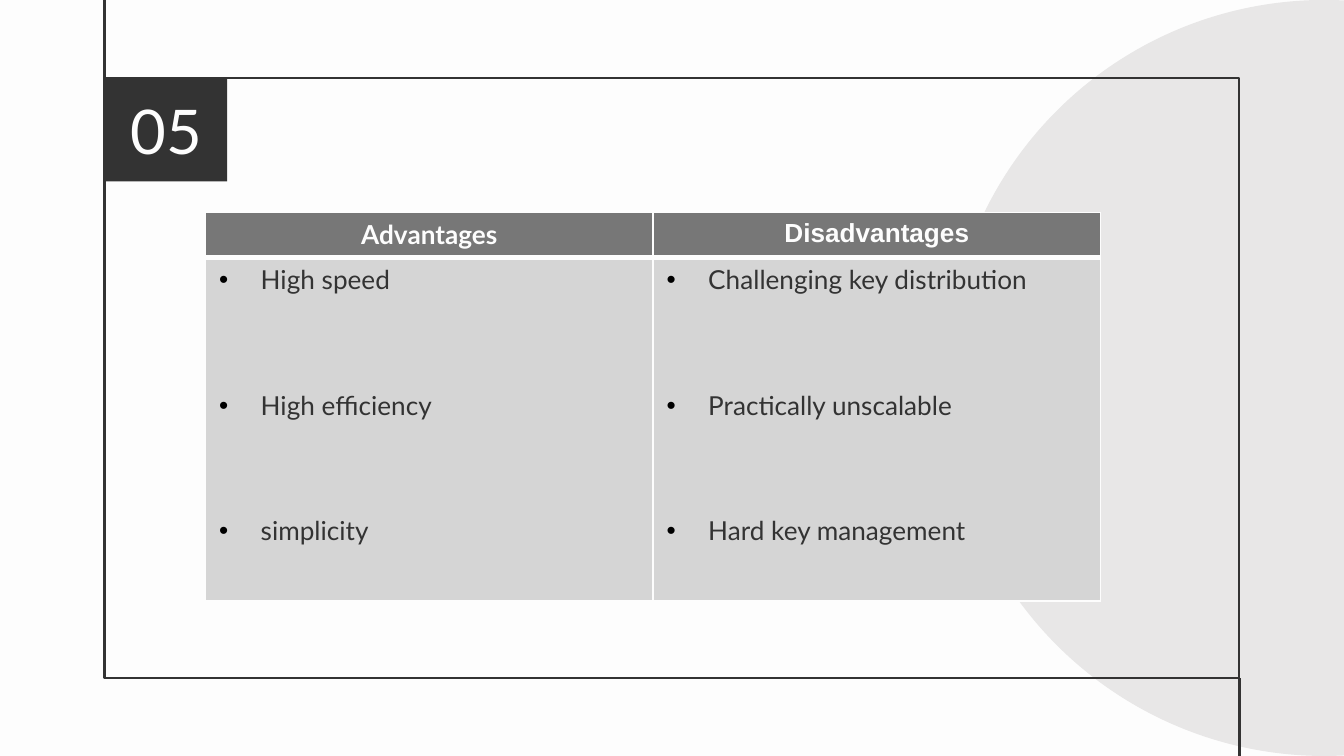
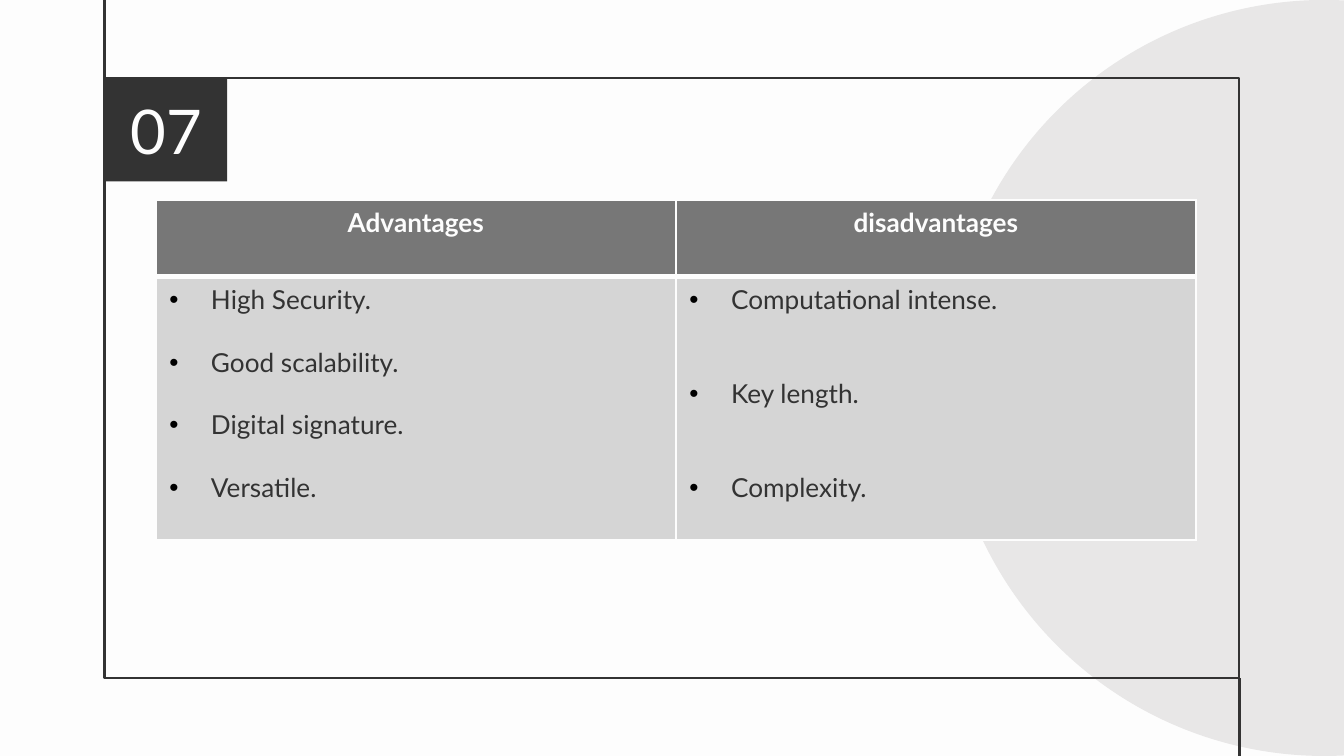
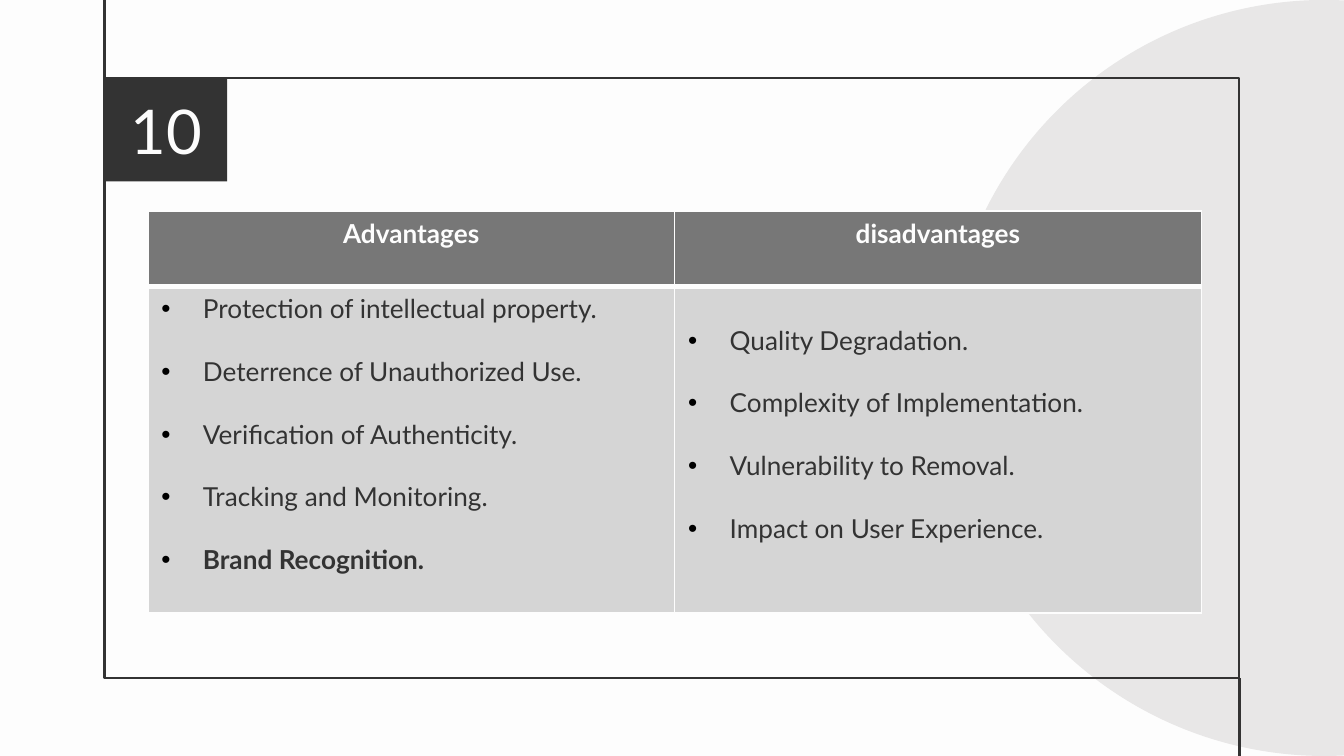
"""Build three slides that weigh advantages against disadvantages."""
from lxml import etree
from pptx import Presentation
from pptx import util as u
from pptx.dml.color import RGBColor
from pptx.enum import shapes, text
from pptx.oxml import ns

PAPER = RGBColor(0xFD, 0xFD, 0xFD)
INK = RGBColor(0x33, 0x33, 0x33)
DISC = RGBColor(0xE8, 0xE7, 0xE7)
HEAD = RGBColor(0x77, 0x77, 0x77)
BODY = RGBColor(0xD5, 0xD5, 0xD5)
BLACK = RGBColor(0, 0, 0)

FONT = "Lato"
SIZE = 14
LINE = 16.8
WIDE = 10
HIGH = WIDE * 9 / 16
LEFT, TOP = 0.78, 0.58
RIGHT, BASE = WIDE - LEFT, HIGH - TOP
HANG = 0.31

SLIDES = [
    {"num": "05", "at": (1.53, 1.58), "col": 3.33, "rows": (0.33, 2.56), "cols": [
        {"head": "Advantages", "gap": 3,
         "list": ["High speed", "High efficiency", "simplicity"]},
        {"head": "Disadvantages", "font": "Arial", "gap": 3,
         "list": ["Challenging key distribution", "Practically unscalable",
                  "Hard key management"]}]},
    {"num": "07", "at": (1.16, 1.49), "col": 3.87, "rows": (0.57, 1.96), "cols": [
        {"head": "Advantages", "gap": 1,
         "list": ["High Security.", "Good scalability.", "Digital signature.",
                  "Versatile."]},
        {"head": "disadvantages", "gap": 2,
         "list": ["Computational intense.", "Key length.", "Complexity."]}]},
    {"num": "10", "at": (1.1, 1.57), "col": 3.92, "rows": (0.56, 2.43), "cols": [
        {"head": "Advantages", "gap": 1,
         "list": ["Protection of intellectual property.",
                  "Deterrence of Unauthorized Use.",
                  "Verification of Authenticity.",
                  "Tracking and Monitoring.", "Brand Recognition."]},
        {"head": "disadvantages", "gap": 1, "above": 1,
         "list": ["Quality Degradation.", "Complexity of Implementation.",
                  "Vulnerability to Removal.", "Impact on User Experience."]}]},
]
STRONG = {"Brand Recognition."}


def node(root, tag, **attrs):
    return etree.SubElement(root, ns.qn("a:" + tag), attrs)


def tint(root, color):
    node(root, "srgbClr", val=str(color))


def write(para, words, color, size=SIZE, bold=False, font=FONT):
    run = para.add_run()
    run.text = words
    run.font.name, run.font.size, run.font.bold = font, u.Pt(size), bold
    run.font.color.rgb = color


def draw(slide, kind, x, y, w, h, fill=None, line=None):
    shape = slide.shapes.add_shape(kind, *map(u.Inches, (x, y, w, h)))
    shape.shadow.inherit = False
    if fill is None:
        shape.fill.background()
    else:
        shape.fill.solid()
        shape.fill.fore_color.rgb = fill
    if line is None:
        shape.line.fill.background()
    else:
        shape.line.color.rgb = line
        shape.line.width = u.Pt(1.5)
    return shape


def rule(slide, *ends):
    line = slide.shapes.add_connector(shapes.MSO_CONNECTOR.STRAIGHT, *map(u.Inches, ends))
    line.line.color.rgb = INK
    line.line.width = u.Pt(1.5)
    node(line._element.spPr, "effectLst")


def frame(slide, num):
    slide.background.fill.solid()
    slide.background.fill.fore_color.rgb = PAPER
    kind = shapes.MSO_SHAPE
    draw(slide, kind.OVAL, 7.04, 0, HIGH, HIGH, fill=DISC)
    draw(slide, kind.RECTANGLE, LEFT, TOP, RIGHT - LEFT, BASE - TOP, line=INK)
    rule(slide, LEFT, TOP, LEFT, 0)
    rule(slide, RIGHT, BASE, RIGHT, HIGH)
    badge = draw(slide, kind.RECTANGLE, 0.79, TOP, 0.9, 0.77, fill=INK).text_frame
    badge.word_wrap = True
    badge.vertical_anchor = text.MSO_ANCHOR.MIDDLE
    badge.margin_left = badge.margin_right = u.Inches(0.1)
    badge.margin_top = badge.margin_bottom = u.Inches(0.1)
    para = badge.paragraphs[0]
    para.alignment = text.PP_ALIGN.CENTER
    write(para, num, PAPER, size=33)


def style(cell, fill, thick):
    props = cell._tc.get_or_add_tcPr()
    for side in "LRTB":
        edge = node(props, "ln" + side, w=str(u.Pt(3 if side == thick else 1)))
        tint(node(edge, "solidFill"), PAPER)
    cell.fill.solid()
    cell.fill.fore_color.rgb = fill


def bullet(para):
    props = para._p.get_or_add_pPr()
    props.set("marL", str(u.Inches(HANG)))
    props.set("indent", str(-u.Inches(HANG)))
    tint(node(props, "buClr"), BLACK)
    node(props, "buFont", typeface="Arial")
    node(props, "buChar", char="•")


def fill_list(cell, col):
    cell.margin_top = u.Inches(0.05) + u.Pt(col.get("above", 0) * LINE)
    for i, item in enumerate(col["list"]):
        para = cell.text_frame.paragraphs[0] if i == 0 else cell.text_frame.add_paragraph()
        bullet(para)
        if i:
            para.space_before = u.Pt(col["gap"] * LINE)
        write(para, item, INK, bold=item in STRONG)


def compare(slide, data):
    count = len(data["cols"])
    box = (*data["at"], count * data["col"], sum(data["rows"]))
    table = slide.shapes.add_table(2, count, *map(u.Inches, box)).table
    table.horz_banding = False
    for row, high in zip(table.rows, data["rows"]):
        row.height = u.Inches(high)
    for i, col in enumerate(data["cols"]):
        table.columns[i].width = u.Inches(data["col"])
        top, low = table.cell(0, i), table.cell(1, i)
        style(top, HEAD, "B")
        style(low, BODY, "T")
        para = top.text_frame.paragraphs[0]
        para.alignment = text.PP_ALIGN.CENTER
        write(para, col["head"], PAPER, bold=True, font=col.get("font", FONT))
        fill_list(low, col)


def main():
    deck = Presentation()
    deck.slide_width, deck.slide_height = u.Inches(WIDE), u.Inches(HIGH)
    for data in SLIDES:
        slide = deck.slides.add_slide(deck.slide_layouts[6])
        frame(slide, data["num"])
        compare(slide, data)
    deck.save("out.pptx")


if __name__ == "__main__":
    main()
